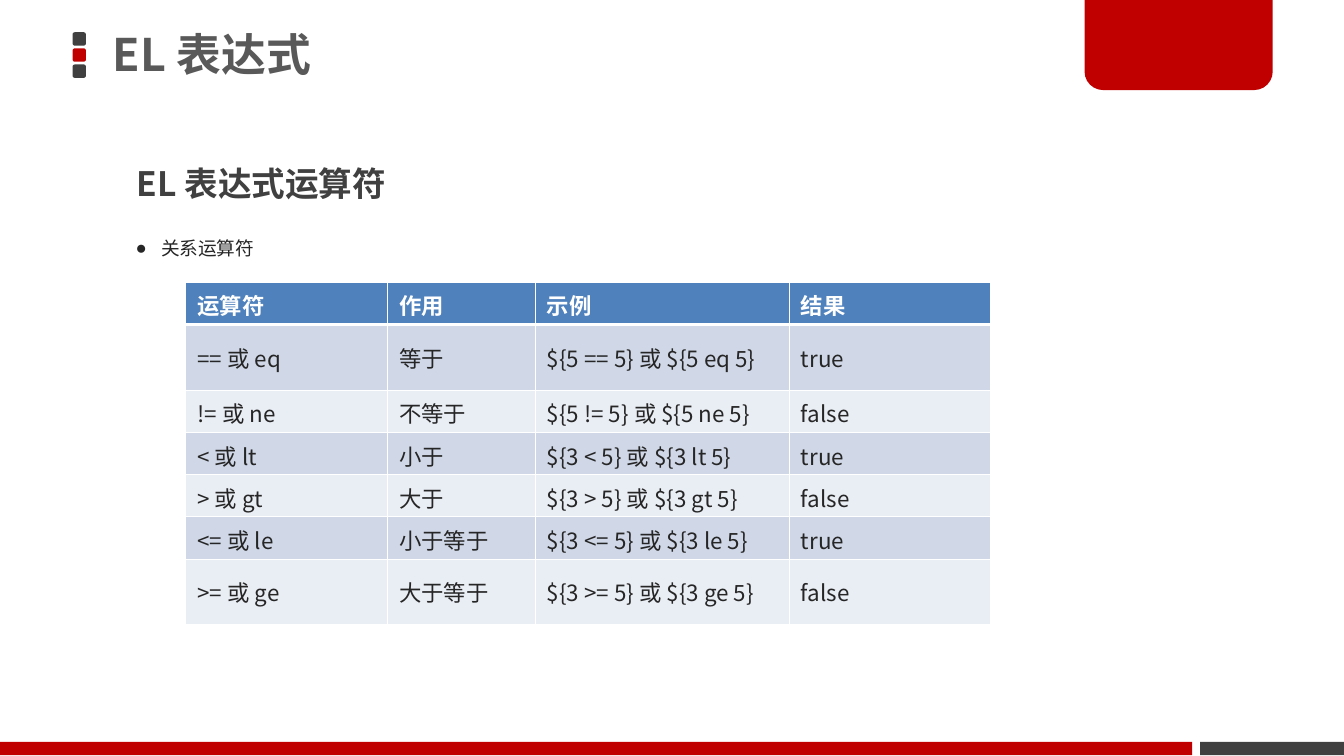
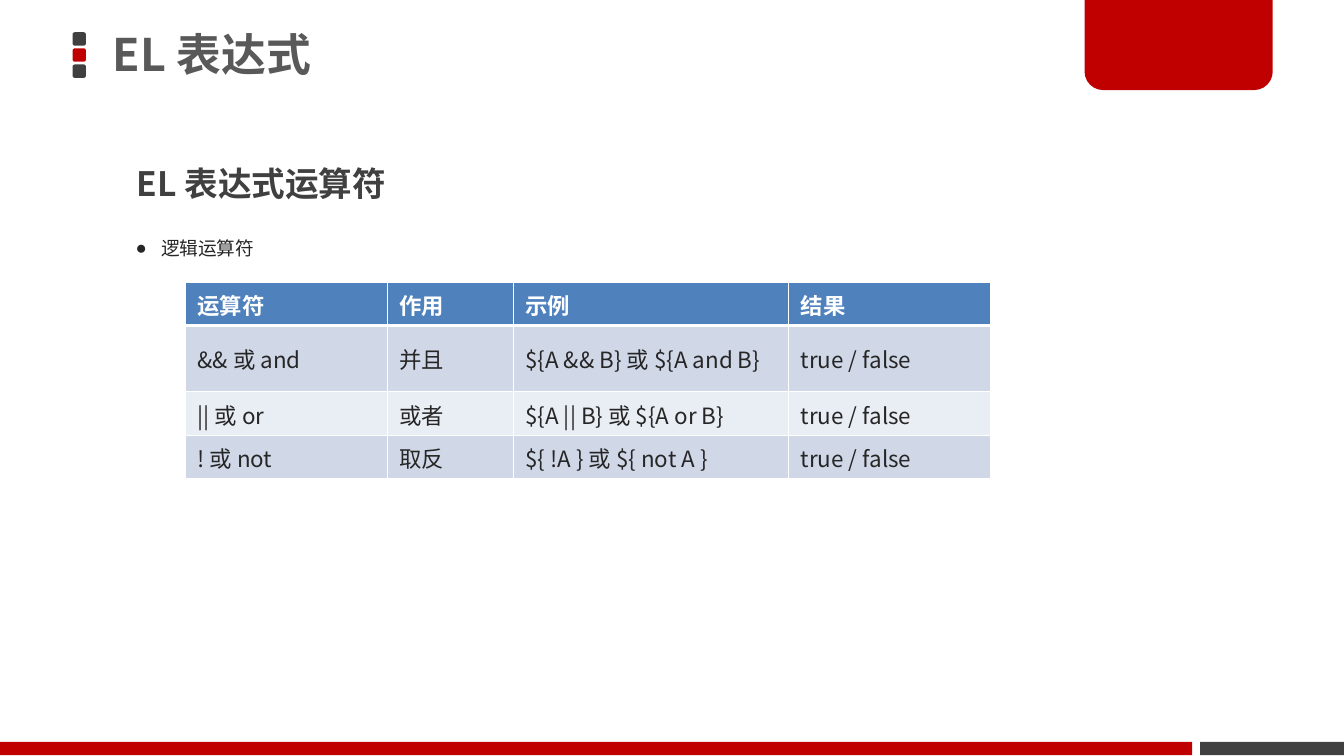
"""Build two slides on the relational and logical operators of EL expressions."""
from lxml.etree import SubElement
from pptx import Presentation
from pptx.dml.color import RGBColor
from pptx.enum.shapes import MSO_SHAPE
from pptx.enum.text import MSO_ANCHOR, MSO_AUTO_SIZE
from pptx.oxml.ns import qn
from pptx.util import Inches, Pt

FONT, BULLET_FONT = "Noto Sans CJK SC", "Arial"
RED, DARK, WHITE = "C00000", "404040", "FFFFFF"
TITLE_COLOR, BODY_COLOR = "595959", "262626"
HEADER_FILL, BAND_FILLS = "4F81BD", ("D0D8E8", "E9EDF4")
THIN, THICK = 0.45, 1.47
TALL_ROW = 0.49

TITLE = "EL 表达式"
HEADING = "EL 表达式运算符"
HEADER = ("运算符", "作用", "示例", "结果")
SLIDES = [
    {
        "topic": "关系运算符",
        "columns": (1.5, 1.1, 1.89, 1.5),
        "height": 2.55,
        "tall_rows": (1, 6),
        "rows": [
            ("== 或 eq", "等于", "${5 == 5} 或 ${5 eq 5}", "true"),
            ("!= 或 ne", "不等于", "${5 != 5} 或 ${5 ne 5}", "false"),
            ("< 或 lt", "小于", "${3 < 5} 或 ${3 lt 5}", "true"),
            ("> 或 gt", "大于", "${3 > 5} 或 ${3 gt 5}", "false"),
            ("<= 或 le", "小于等于", "${3 <= 5} 或 ${3 le 5}", "true"),
            (">= 或 ge", "大于等于", "${3 >= 5} 或 ${3 ge 5}", "false"),
        ],
    },
    {
        "topic": "逻辑运算符",
        "columns": (1.5, 0.94, 2.05, 1.5),
        "height": 1.46,
        "tall_rows": (1,),
        "rows": [
            ("&& 或 and", "并且", "${A && B} 或 ${A and B}", "true / false"),
            ("|| 或 or", "或者", "${A || B} 或 ${A or B}", "true / false"),
            ("! 或 not", "取反", "${ !A } 或 ${ not A }", "true / false"),
        ],
    },
]


def rgb(color):
    return RGBColor.from_string(color)


def style_paragraph(paragraph, size, color, bold=False):
    font = paragraph.font
    font.name, font.size, font.bold = FONT, Pt(size), bold
    font.color.rgb = rgb(color)
    defaults = paragraph._p.pPr.find(qn("a:defRPr"))
    SubElement(defaults, qn("a:ea"), typeface=FONT)


def add_block(slide, kind, box, color, adjustments=()):
    shape = slide.shapes.add_shape(kind, *map(Inches, box))
    shape.shadow.inherit = False
    shape.fill.solid()
    shape.fill.fore_color.rgb = rgb(color)
    shape.line.fill.background()
    for index, value in enumerate(adjustments):
        shape.adjustments[index] = value


def add_text(slide, box, text, spacing):
    shape = slide.shapes.add_textbox(*map(Inches, box))
    frame = shape.text_frame
    frame.word_wrap = True
    paragraph = frame.paragraphs[0]
    paragraph.text = text
    paragraph.line_spacing = spacing
    return frame, paragraph


def add_bullet(paragraph):
    properties = paragraph._p.get_or_add_pPr()
    properties.set("marL", str(Inches(0.19)))
    properties.set("indent", str(-Inches(0.19)))
    bullet_color = SubElement(properties, qn("a:buClr"))
    SubElement(bullet_color, qn("a:srgbClr"), val=BODY_COLOR)
    SubElement(properties, qn("a:buFont"), typeface=BULLET_FONT)
    SubElement(properties, qn("a:buChar"), char="●")


def add_frame(slide):
    for index, color in enumerate((DARK, RED, DARK)):
        add_block(slide, MSO_SHAPE.ROUNDED_RECTANGLE, (0.54, 0.24 + 0.12 * index, 0.1, 0.1), color, (0.17,))
    add_block(slide, MSO_SHAPE.RECTANGLE, (8.93, 5.52, 1.07, 0.1), DARK)
    add_block(slide, MSO_SHAPE.ROUND_2_SAME_RECTANGLE, (8.07, -0.02, 1.4, 0.69), RED, (0, 0.2))
    add_block(slide, MSO_SHAPE.RECTANGLE, (0, 5.52, 8.87, 0.1), RED)

    frame, paragraph = add_text(slide, (0.69, -0.02, 5.89, 0.89), TITLE, 0.9)
    frame.vertical_anchor = MSO_ANCHOR.MIDDLE
    frame.margin_left, frame.margin_right = Inches(0.15), Inches(0.08)
    frame.margin_top = frame.margin_bottom = Inches(0.04)
    style_paragraph(paragraph, 24, TITLE_COLOR, True)

    frame, paragraph = add_text(slide, (0.92, 1.01, 3.84, 0.55), HEADING, 1.5)
    frame.auto_size = MSO_AUTO_SIZE.SHAPE_TO_FIT_TEXT
    style_paragraph(paragraph, 18, DARK, True)


def add_topic(slide, topic):
    frame, paragraph = add_text(slide, (0.91, 1.63, 7.32, 0.35), topic, 1.5)
    frame.auto_size = MSO_AUTO_SIZE.SHAPE_TO_FIT_TEXT
    paragraph.level = 1
    add_bullet(paragraph)
    style_paragraph(paragraph, 10, BODY_COLOR)


def set_borders(cell, top, bottom):
    properties = cell._tc.get_or_add_tcPr()
    for side, width in (("L", THIN), ("R", THIN), ("T", top), ("B", bottom)):
        line = SubElement(properties, qn(f"a:ln{side}"), w=str(Pt(width)))
        SubElement(SubElement(line, qn("a:solidFill")), qn("a:srgbClr"), val=WHITE)


def fill_cell(cell, text, row):
    set_borders(cell, THICK if row == 1 else THIN, THICK if row == 0 else THIN)
    cell.fill.solid()
    cell.fill.fore_color.rgb = rgb(BAND_FILLS[(row - 1) % 2] if row else HEADER_FILL)
    cell.vertical_anchor = MSO_ANCHOR.MIDDLE
    cell.margin_left = cell.margin_right = Inches(0.09)
    cell.margin_top = cell.margin_bottom = Inches(0.05)
    paragraph = cell.text_frame.paragraphs[0]
    paragraph.text = text
    style_paragraph(paragraph, 12, BODY_COLOR if row else WHITE, row == 0)


def add_operator_table(slide, columns, height, tall_rows, rows):
    lines = [HEADER, *rows]
    short_row = (height - TALL_ROW * len(tall_rows)) / (len(lines) - len(tall_rows))
    box = (1.38, 2.1, sum(columns), height)
    table = slide.shapes.add_table(len(lines), len(columns), *map(Inches, box)).table
    for column, width in zip(table.columns, columns):
        column.width = Inches(width)
    for row_index, texts in enumerate(lines):
        table.rows[row_index].height = Inches(TALL_ROW if row_index in tall_rows else short_row)
        for column_index, text in enumerate(texts):
            fill_cell(table.cell(row_index, column_index), text, row_index)


def main():
    presentation = Presentation()
    presentation.slide_width = Inches(10)
    presentation.slide_height = Inches(10) * 9 // 16
    for content in SLIDES:
        slide = presentation.slides.add_slide(presentation.slide_layouts[6])
        add_frame(slide)
        add_topic(slide, content["topic"])
        add_operator_table(slide, content["columns"], content["height"], content["tall_rows"], content["rows"])
    presentation.save("out.pptx")


if __name__ == "__main__":
    main()
